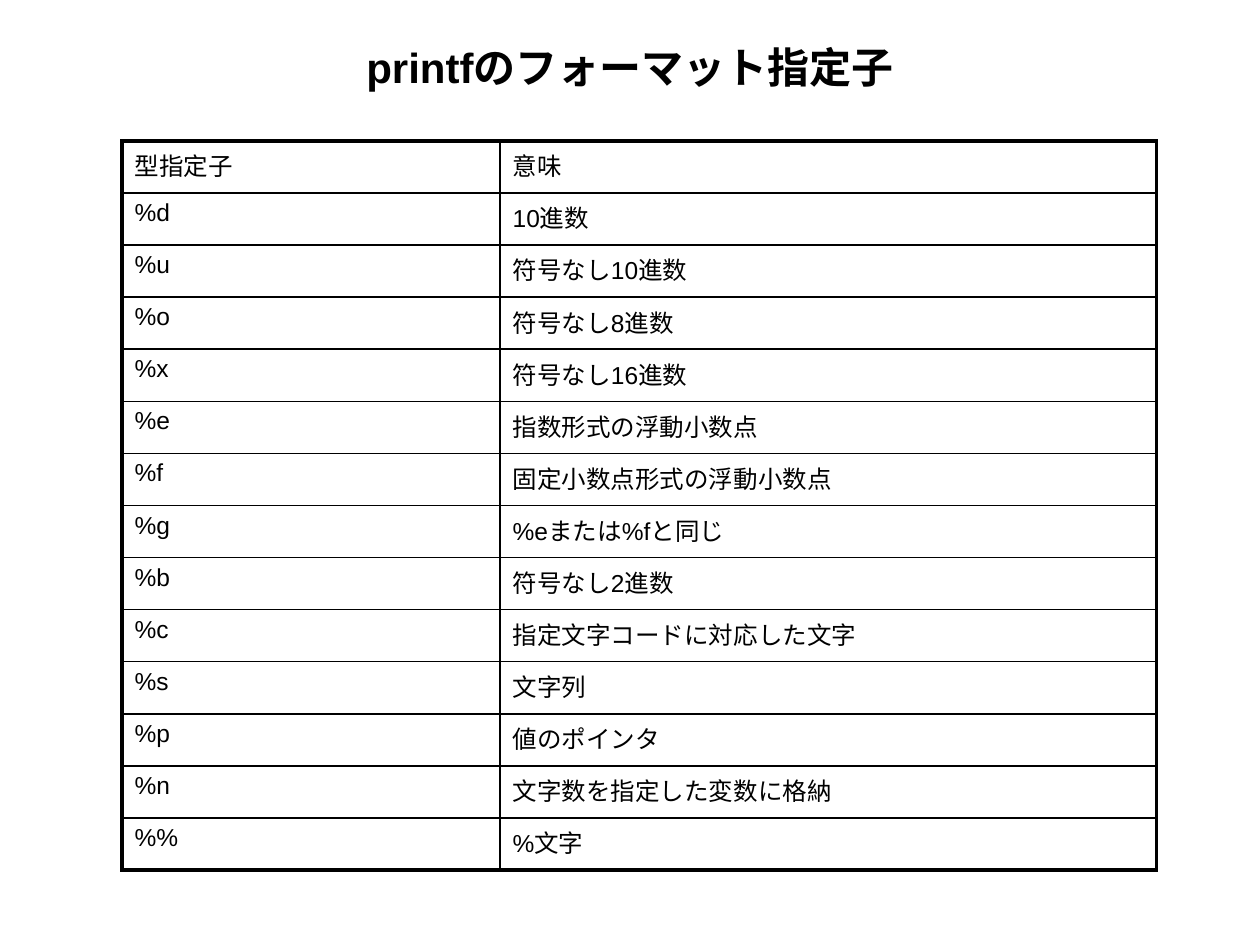
import pptx
import pptx.util
import pptx.dml.color
import pptx.enum.text
import pptx.oxml
import pptx.oxml.ns
from pptx.util import Cm


def color(hex_string):
    return pptx.dml.color.RGBColor.from_string(hex_string)


def format_text(text_frame, format_values):
    for run in text_frame.paragraphs[0].runs:
        for name, value in format_values.items():
            setattr(run.font, name, value)
        run.font.color.rgb = color("000000")


title_format = {"name": "Arial", "size": pptx.util.Pt(24), "bold": True}
cell_format = {"name": "Arial", "size": pptx.util.Pt(14), "bold": False}
title_position = {"left": Cm(1.27), "top": Cm(0.76), "width": Cm(22.86), "height": Cm(1.17)}
title_frame = {
    "vertical_anchor": pptx.enum.text.MSO_ANCHOR.MIDDLE,
    "auto_size": pptx.enum.text.MSO_AUTO_SIZE.NONE,
    "word_wrap": True,
}
table_options = {"first_row": False, "horz_banding": False}
column_widths = [Cm(7.62), Cm(13.23)]
row_height = Cm(1.05)
outer_width, inner_width = 2.25, 1

specifiers = [
    ("型指定子", "意味"),
    ("%d", "10進数"),
    ("%u", "符号なし10進数"),
    ("%o", "符号なし8進数"),
    ("%x", "符号なし16進数"),
    ("%e", "指数形式の浮動小数点"),
    ("%f", "固定小数点形式の浮動小数点"),
    ("%g", "%eまたは%fと同じ"),
    ("%b", "符号なし2進数"),
    ("%c", "指定文字コードに対応した文字"),
    ("%s", "文字列"),
    ("%p", "値のポインタ"),
    ("%n", "文字数を指定した変数に格納"),
    ("%%", "%文字"),
]

presentation = pptx.Presentation()
presentation.slide_width = Cm(25.4)
presentation.slide_height = Cm(19.05)
slide = presentation.slides.add_slide(presentation.slide_layouts[5])

title = slide.shapes.title
for name, value in title_position.items():
    setattr(title, name, value)
title.text_frame.text = "printfのフォーマット指定子"
for name, value in title_frame.items():
    setattr(title.text_frame, name, value)
title.text_frame.paragraphs[0].alignment = pptx.enum.text.PP_ALIGN.CENTER
format_text(title.text_frame, title_format)

row_count, column_count = len(specifiers), len(column_widths)
table = slide.shapes.add_table(
    row_count, column_count, Cm(2.46), Cm(2.84), sum(column_widths), row_height * row_count
).table
for name, value in table_options.items():
    setattr(table, name, value)
for column, width in zip(table.columns, column_widths):
    column.width = width

for row_index, texts in enumerate(specifiers):
    table.rows[row_index].height = row_height
    for column_index, text in enumerate(texts):
        cell = table.cell(row_index, column_index)
        cell.text = text
        format_text(cell.text_frame, cell_format)
        outer_sides = {
            "L": column_index == 0,
            "R": column_index == column_count - 1,
            "T": row_index == 0,
            "B": row_index == row_count - 1,
        }
        properties = cell._tc.get_or_add_tcPr()
        for side, is_outer in outer_sides.items():
            line_width = pptx.util.Pt(outer_width if is_outer else inner_width)
            properties.append(pptx.oxml.parse_xml(
                f'<a:ln{side} {pptx.oxml.ns.nsdecls("a")} w="{line_width}">'
                f'<a:solidFill><a:srgbClr val="{color("000000")}"/></a:solidFill></a:ln{side}>'
            ))
        cell.fill.background()

presentation.save("out.pptx")
